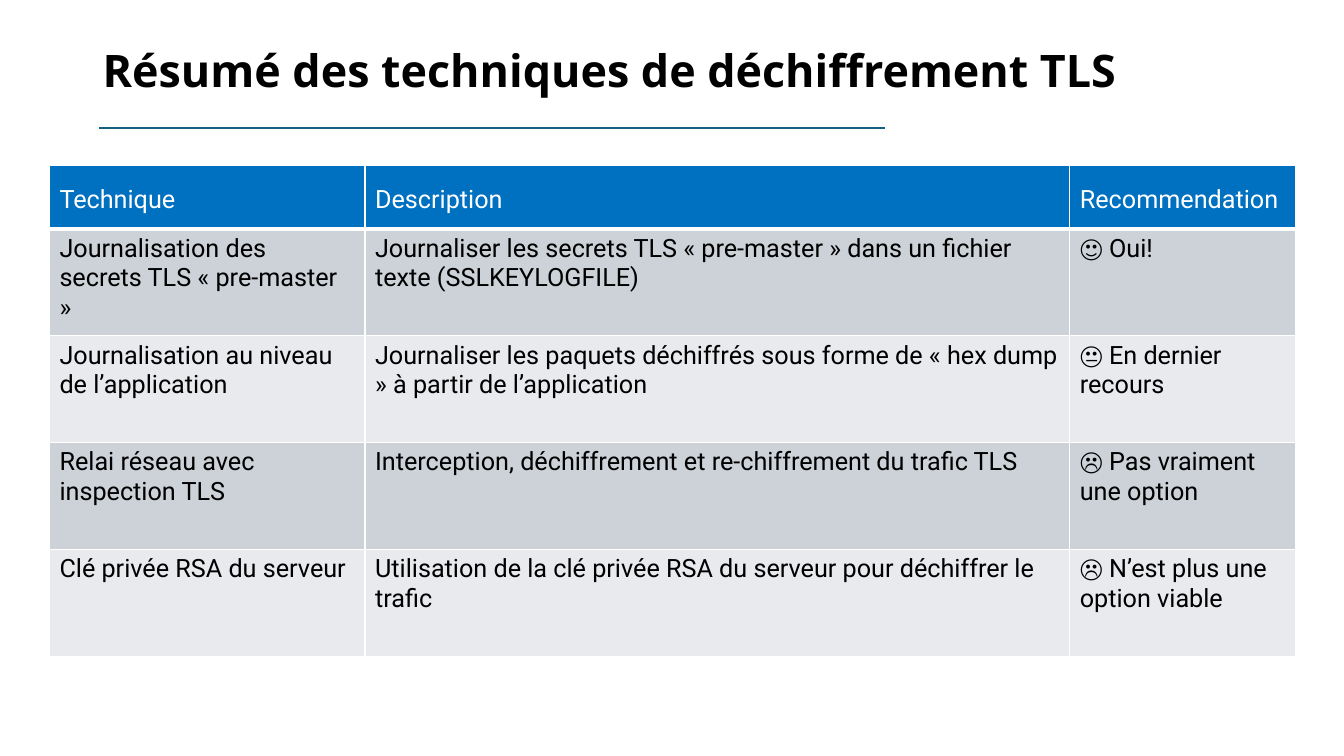
from lxml.etree import SubElement
from pptx import Presentation
from pptx.dml.color import RGBColor
from pptx.enum.shapes import MSO_CONNECTOR
from pptx.enum.text import MSO_ANCHOR
from pptx.oxml import parse_xml
from pptx.oxml.ns import nsdecls, qn
from pptx.util import Inches, Pt

COLORS = {
    "black": "000000",
    "white": "FFFFFF",
    "rule": "156082",
    "header": "0070C0",
    "odd_row": "CCD2D8",
    "even_row": "E8EAED",
}
COLUMN_WIDTHS = [3.13, 6.99, 2.24]
HEADER_HEIGHT = 0.63
ROW_HEIGHT = 1.06
HEADINGS = ["Technique", "Description", "Recommendation"]
TECHNIQUES = [
    ["Journalisation des secrets TLS « pre-master »",
     "Journaliser les secrets TLS « pre-master » dans un fichier texte (SSLKEYLOGFILE)",
     "🙂 Oui!"],
    ["Journalisation au niveau de l’application",
     "Journaliser les paquets déchiffrés sous forme de « hex dump » à partir de l’application",
     "😐 En dernier recours"],
    ["Relai réseau avec inspection TLS",
     "Interception, déchiffrement et re-chiffrement du trafic TLS",
     "☹️ Pas vraiment une option"],
    ["Clé privée RSA du serveur",
     "Utilisation de la clé privée RSA du serveur pour déchiffrer le trafic",
     "☹️ N’est plus une option viable"],
]


def color(name):
    return RGBColor.from_string(COLORS[name])


def write_text(frame, text, *, font, size, ink, bold=False, line_spacing=1.0):
    frame.word_wrap = True
    para = frame.paragraphs[0]
    para.line_spacing = line_spacing
    span = para.add_run()
    span.text = text
    span.font.name = font
    span.font.size = Pt(size)
    span.font.bold = bold
    span.font.color.rgb = color(ink)


def set_borders(cell, bottom_width):
    """Draw white borders, 1 point wide except at the bottom."""
    properties = cell._tc.get_or_add_tcPr()
    widths = {"lnL": 1, "lnR": 1, "lnT": 1, "lnB": bottom_width}
    for index, (side, width) in enumerate(widths.items()):
        border = parse_xml(
            f'<a:{side} {nsdecls("a")} w="{Pt(width)}"><a:solidFill>'
            f'<a:srgbClr val="{COLORS["white"]}"/></a:solidFill></a:{side}>')
        properties.insert(index, border)


def add_title(page, left, top, width, height):
    # Heading
    box = page.shapes.add_textbox(Inches(left), Inches(top), Inches(width), Inches(height))
    box.text_frame.vertical_anchor = MSO_ANCHOR.MIDDLE
    write_text(box.text_frame, "Résumé des techniques de déchiffrement TLS",
               font="Open Sans", size=32, ink="black", bold=True, line_spacing=0.9)

    # Rule under the heading
    rule_left, rule_top = Inches(left + 0.06), Inches(top + height + 0.23)
    rule = page.shapes.add_connector(
        MSO_CONNECTOR.STRAIGHT, rule_left, rule_top, rule_left + Inches(7.8), rule_top)
    rule.line.color.rgb = color("rule")
    rule.line.width = Pt(1.5)
    SubElement(rule._element.spPr, qn("a:effectLst"))


def add_technique_table(page, left, top, width, height):
    rows = [HEADINGS] + TECHNIQUES
    table = page.shapes.add_table(
        len(rows), len(HEADINGS),
        Inches(left), Inches(top), Inches(width), Inches(height)).table
    for column, column_width in zip(table.columns, COLUMN_WIDTHS):
        column.width = Inches(column_width)

    for row_index, texts in enumerate(rows):
        is_header = row_index == 0
        table.rows[row_index].height = Inches(HEADER_HEIGHT if is_header else ROW_HEIGHT)
        fill = "header" if is_header else "odd_row" if row_index % 2 else "even_row"
        for column_index, text in enumerate(texts):
            cell = table.cell(row_index, column_index)
            cell.fill.solid()
            cell.fill.fore_color.rgb = color(fill)
            set_borders(cell, bottom_width=3 if is_header else 1)
            write_text(cell.text_frame, text, font="Roboto", size=18,
                       ink="white" if is_header else "black",
                       line_spacing=1.5 if is_header else 1.0)


def main():
    deck = Presentation()
    deck.slide_width = Inches(13.33)
    deck.slide_height = Inches(7.5)
    page = deck.slides.add_slide(deck.slide_layouts[6])
    add_title(page, 0.92, 0.4, 11.5, 0.64)
    add_technique_table(page, 0.49, 1.64, sum(COLUMN_WIDTHS),
                        HEADER_HEIGHT + ROW_HEIGHT * len(TECHNIQUES))
    deck.save("out.pptx")


if __name__ == "__main__":
    main()
